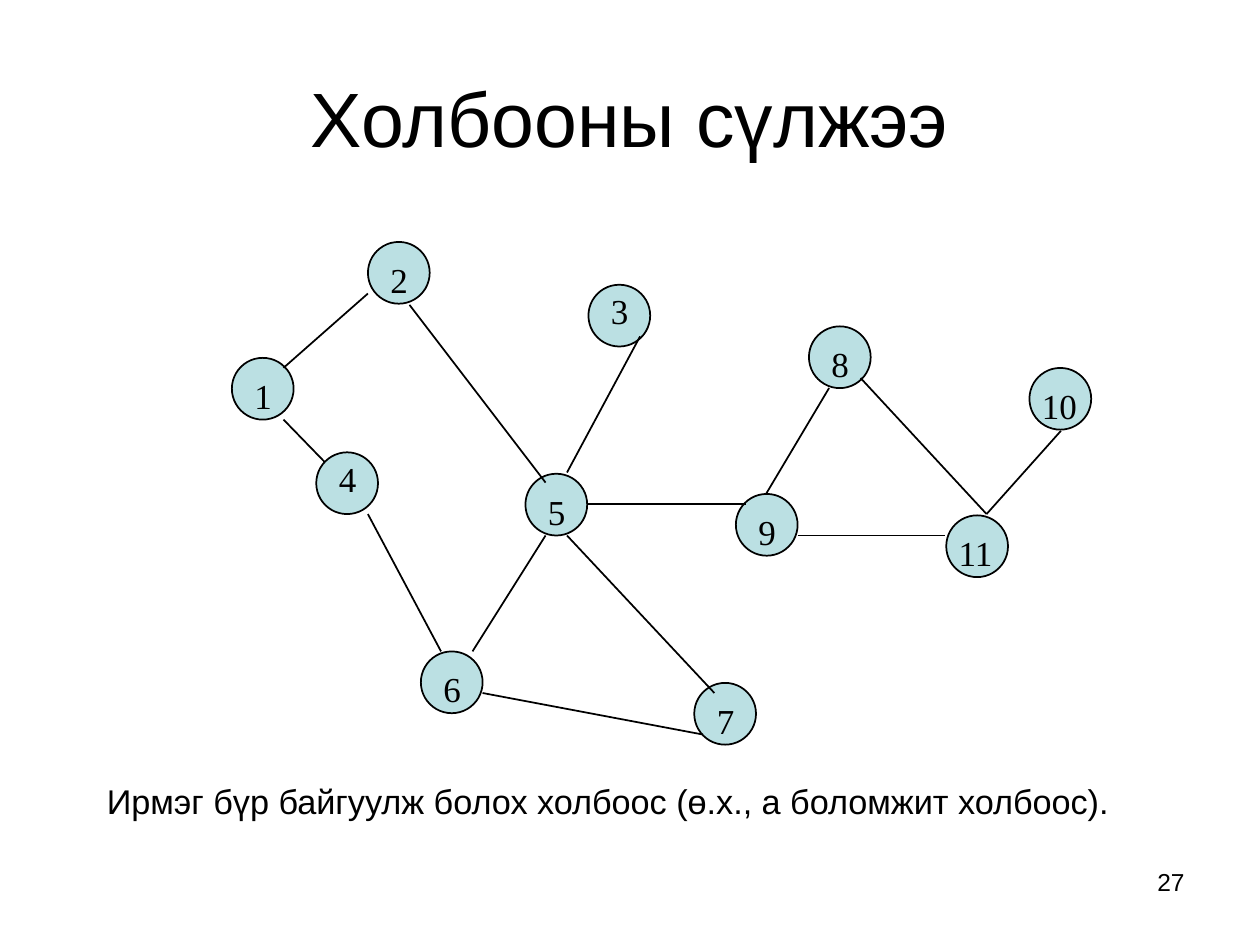
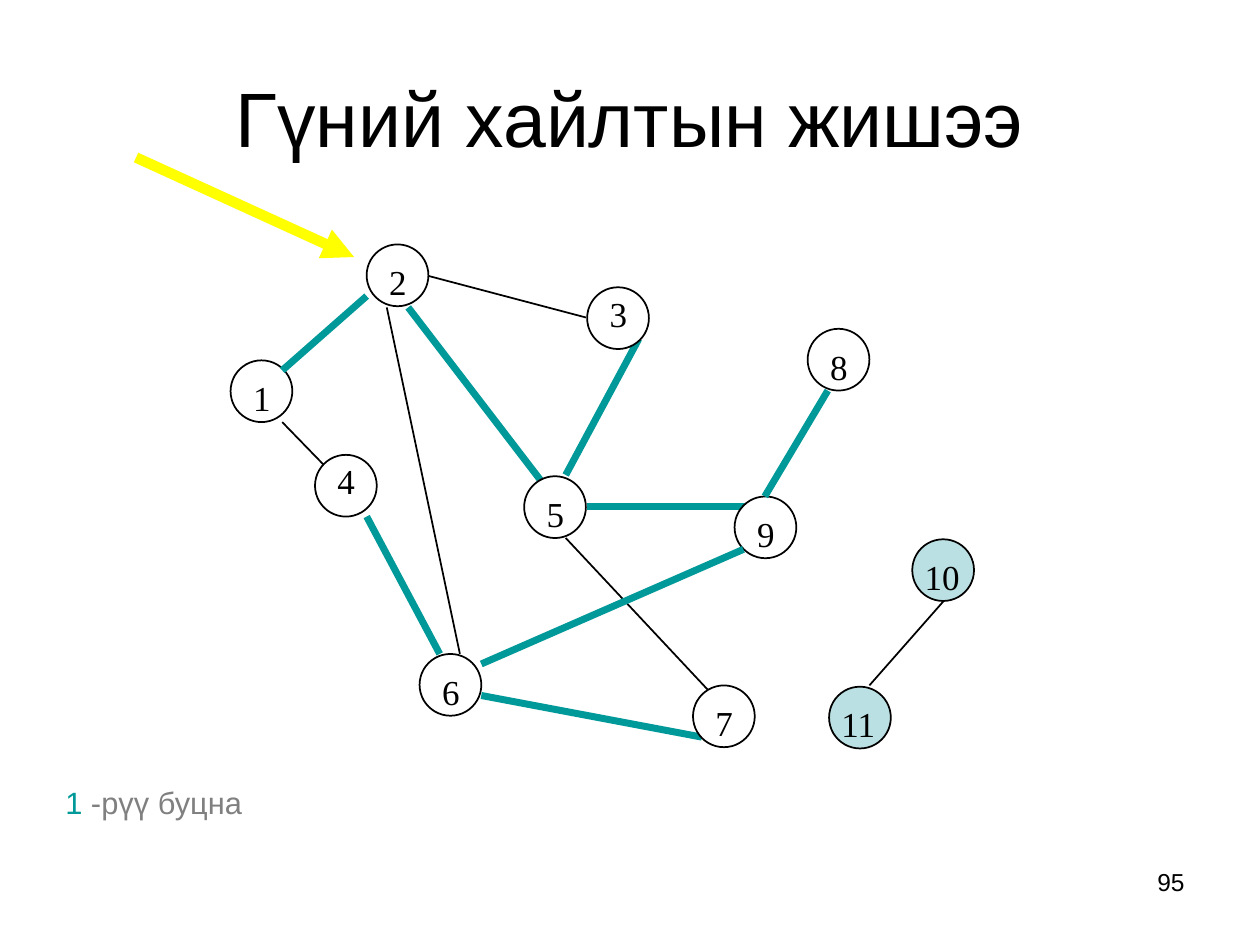
from lxml.etree import SubElement
from pptx import Presentation
from pptx.dml.color import RGBColor
from pptx.enum.shapes import MSO_CONNECTOR, MSO_SHAPE
from pptx.enum.text import MSO_ANCHOR, PP_ALIGN
from pptx.oxml.ns import qn
from pptx.util import Inches, Pt

COLORS = {"ink": "000000", "unvisited": "BBE0E3", "visited": "FFFFFF",
          "tree": "009999", "pointer": "FFFF00", "muted": "808080"}
DIAMETER = 0.49
TITLE_BOX = (0.5, 0.3, 9, 1.25)
NUMBER_BOX = (7.17, 6.83, 2.33, 0.52)

# Left and top of each node's circle
COMMON_NODES = {
    1: (1.84, 2.84), 2: (2.92, 1.92), 3: (4.67, 2.26), 4: (2.51, 3.59),
    5: (4.17, 3.76), 6: (3.34, 5.17), 7: (5.51, 5.42), 8: (6.42, 2.59),
    9: (5.84, 3.92),
}
NETWORK_NODES = {**COMMON_NODES, 10: (8.17, 2.92), 11: (7.51, 4.09)}
SEARCH_NODES = {**COMMON_NODES, 10: (7.25, 4.26), 11: (6.59, 5.43)}
RAISED_LABELS = {3, 4}

# Nodes joined: start and end of the line
COMMON_EDGES = {
    (1, 2): (2.92, 2.33, 2.25, 2.92),
    (2, 5): (3.25, 2.42, 4.33, 3.83),
    (1, 4): (2.25, 3.33, 2.58, 3.67),
    (4, 6): (2.92, 4.08, 3.5, 5.17),
    (6, 7): (3.83, 5.5, 5.58, 5.83),
    (3, 5): (5.08, 2.67, 4.5, 3.75),
    (5, 7): (4.5, 4.25, 5.67, 5.5),
    (8, 9): (6.58, 3.08, 6.08, 3.92),
    (5, 9): (4.67, 4, 5.92, 4),
}
NETWORK_EDGES = {
    **COMMON_EDGES,
    (8, 11): (6.83, 3, 7.83, 4.08),
    (10, 11): (7.83, 4.08, 8.42, 3.42),
    (5, 6): (4.33, 4.25, 3.75, 5.17),
    (9, 11): (6.33, 4.25, 7.5, 4.25),
}
SEARCH_EDGES = {
    **COMMON_EDGES,
    (10, 11): (6.91, 5.42, 7.5, 4.75),
    (2, 3): (3.41, 2.17, 4.66, 2.5),
    (2, 6): (3.08, 2.42, 3.66, 5.17),
    (6, 9): (3.83, 5.25, 5.91, 4.34),
}
SEARCH_SHIFT = (-0.01, 0.02)
POINTER = (2.82, 2.02, 1.09, 1.23)

# Nodes in the order of the search, with the tree edge that reaches each
VISITS = [(1, None), (2, (1, 2)), (5, (2, 5)), (9, (5, 9)), (8, (8, 9)),
          (6, (6, 9)), (4, (4, 6)), (7, (6, 7)), (3, (3, 5))]

NETWORK_TEXT = {
    "title": "Холбооны сүлжээ",
    "caption": [("Ирмэг бүр байгуулж болох холбоос (ө.х., а боломжит холбоос).", "ink")],
    "caption_box": (0.75, 6.14, 8.5, 0.78),
    "caption_size": 19.6,
    "number": "27",
}
SEARCH_TEXT = {
    "title": "Гүний хайлтын жишээ",
    "caption": [("1", "tree"), (" -рүү буцна", "muted")],
    "caption_box": (0.42, 6.17, 8.67, 0.42),
    "caption_size": 17.6,
    "number": "95",
}


def rgb(name):
    return RGBColor.from_string(COLORS[name])


def write_text(shape, runs, size, font="Arial", align=PP_ALIGN.LEFT, anchor=MSO_ANCHOR.TOP):
    """Fill the shape with one paragraph of (text, colour name) runs."""
    frame = shape.text_frame
    frame.word_wrap = True
    frame.vertical_anchor = anchor
    paragraph = frame.paragraphs[0]
    paragraph.alignment = align
    for text, color in runs:
        run = paragraph.add_run()
        run.text = text
        run.font.size = Pt(size)
        run.font.name = font
        run.font.color.rgb = rgb(color)


def add_text(slide, box, runs, size, **text_format):
    shape = slide.shapes.add_textbox(*map(Inches, box))
    write_text(shape, runs, size, **text_format)


def add_slide(presentation, content):
    """Add a slide with its title, caption and slide number."""
    slide = presentation.slides.add_slide(presentation.slide_layouts[5])
    title = slide.shapes.title
    title.left, title.top, title.width, title.height = map(Inches, TITLE_BOX)
    write_text(title, [(content["title"], "ink")], 44,
               align=PP_ALIGN.CENTER, anchor=MSO_ANCHOR.MIDDLE)
    add_text(slide, content["caption_box"], content["caption"], content["caption_size"])
    add_text(slide, NUMBER_BOX, [(content["number"], "ink")], 14, align=PP_ALIGN.RIGHT)
    return slide


def add_line(slide, ends, shift=(0, 0), color="ink", width=1, arrow=False):
    dx, dy = shift
    x1, y1, x2, y2 = ends
    points = (x1 + dx, y1 + dy, x2 + dx, y2 + dy)
    line = slide.shapes.add_connector(MSO_CONNECTOR.STRAIGHT, *map(Inches, points))
    line.line.color.rgb = rgb(color)
    line.line.width = Pt(width)
    if arrow:
        SubElement(line.line._get_or_add_ln(), qn("a:headEnd"), type="triangle")
    SubElement(line._element.spPr, qn("a:effectLst"))


def add_circle(slide, position, shift=(0, 0), fill="unvisited"):
    left, top = position[0] + shift[0], position[1] + shift[1]
    circle = slide.shapes.add_shape(
        MSO_SHAPE.OVAL, *map(Inches, (left, top, DIAMETER, DIAMETER)))
    circle.shadow.inherit = False
    circle.fill.solid()
    circle.fill.fore_color.rgb = rgb(fill)
    circle.line.color.rgb = rgb("ink")
    circle.line.width = Pt(1)


def add_label(slide, node, position, shift=(0, 0)):
    left, top = position[0] + shift[0], position[1] + shift[1]
    inset, width = (0.08, 0.25) if node < 10 else (0, 0.6)
    drop = -0.01 if node in RAISED_LABELS else 0.08
    add_text(slide, (left + inset, top + drop, width, 0.43),
             [(str(node), "ink")], 20, font="Times New Roman")


def build_network(presentation):
    slide = add_slide(presentation, NETWORK_TEXT)
    for position in NETWORK_NODES.values():
        add_circle(slide, position)
    for ends in NETWORK_EDGES.values():
        add_line(slide, ends)
    for node, position in NETWORK_NODES.items():
        add_label(slide, node, position)


def build_search(presentation):
    slide = add_slide(presentation, SEARCH_TEXT)
    tree = {edge for _, edge in VISITS}
    visited = {node for node, _ in VISITS}
    for edge, ends in SEARCH_EDGES.items():
        if edge not in tree:
            add_line(slide, ends, SEARCH_SHIFT)
    for node, position in SEARCH_NODES.items():
        if node not in visited:
            add_circle(slide, position, SEARCH_SHIFT)
            add_label(slide, node, position, SEARCH_SHIFT)
    for node, edge in VISITS:
        if edge:
            add_line(slide, SEARCH_EDGES[edge], SEARCH_SHIFT, color="tree", width=4)
        add_circle(slide, SEARCH_NODES[node], SEARCH_SHIFT, fill="visited")
        add_label(slide, node, SEARCH_NODES[node], SEARCH_SHIFT)
    add_line(slide, POINTER, SEARCH_SHIFT, color="pointer", width=6, arrow=True)


def main():
    presentation = Presentation()
    presentation.slide_width, presentation.slide_height = Inches(10), Inches(7.5)
    build_network(presentation)
    build_search(presentation)
    presentation.save("out.pptx")


if __name__ == "__main__":
    main()
